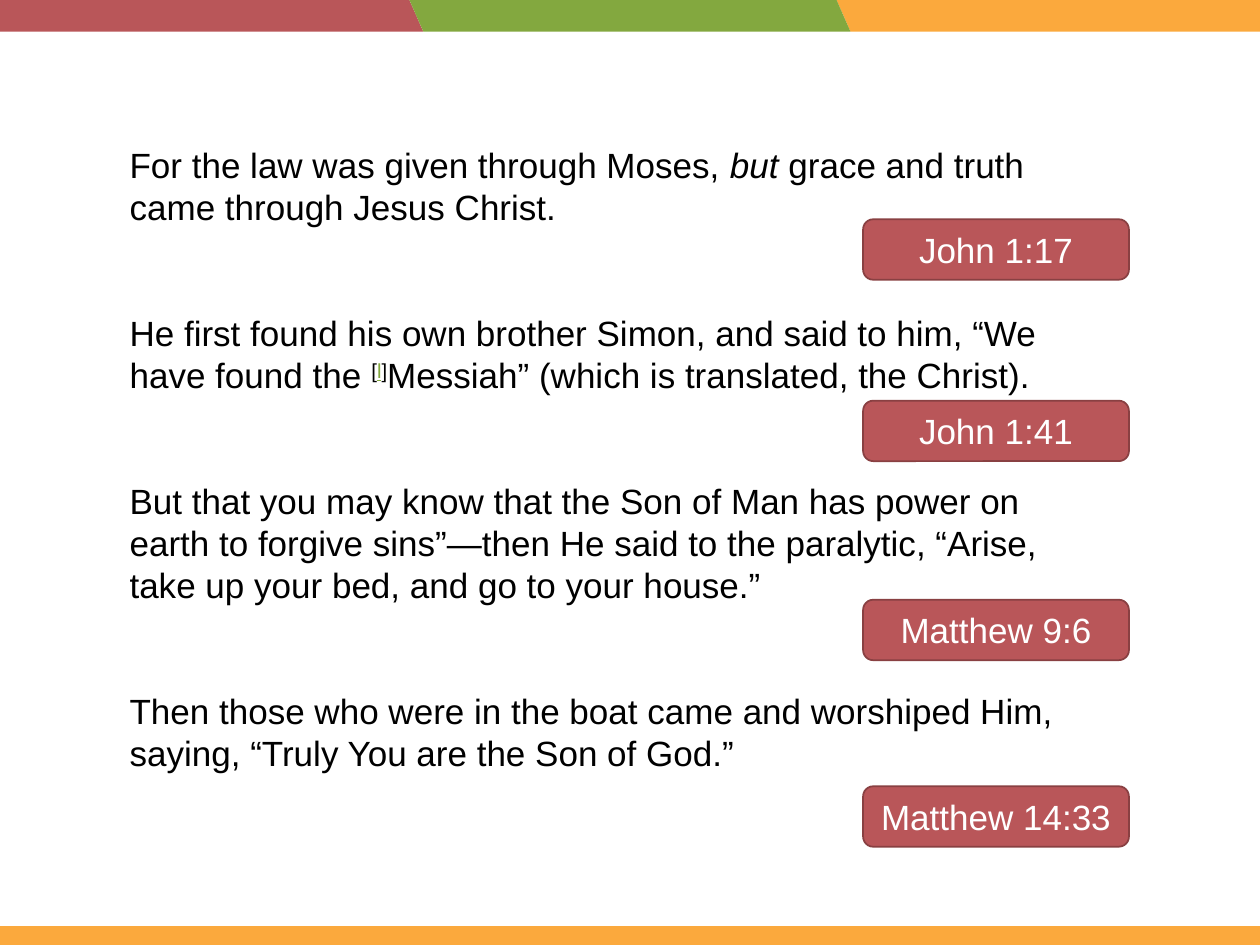
from pptx import Presentation
from pptx.dml.color import RGBColor
from pptx.enum.shapes import MSO_SHAPE as SHAPE
from pptx.enum.text import MSO_ANCHOR, MSO_AUTO_SIZE, PP_ALIGN
from pptx.util import Inches, Pt

COLORS = {"red": "B95659", "dark_red": "894042", "green": "83A83F",
          "orange": "FBA93D", "black": "000000", "white": "FFFFFF"}
BASE_FONT = {"name": "Arial", "size": Pt(20)}
SUPERSCRIPT = "30000"
LINE = 24  # line pitch in points

# Each verse is a list of (text, font values, colour, baseline)
VERSES = [
    [("For the law was given through Moses, ", {}, "black", None),
     ("but", {"italic": True}, "black", None),
     (" grace and truth came through Jesus Christ.", {}, "black", None)],
    [("He first found his own brother Simon, and said to him, “We have found the ",
      {}, "black", None),
     ("[", {}, "black", SUPERSCRIPT),
     ("l", {"underline": True}, "green", SUPERSCRIPT),
     ("]", {}, "black", SUPERSCRIPT),
     ("Messiah” (which is translated, the Christ).", {}, "black", None)],
    [("But that you may know that the Son of Man has power on earth to forgive "
      "sins”—then He said to the paralytic, “Arise, take up your bed, and go to "
      "your house.”", {}, "black", None)],
    [("Then those who were in the boat came and worshiped Him, saying, “Truly "
      "You are the Son of God.”", {}, "black", None)],
]
REFERENCES = [("John 1:17", 1.74), ("John 1:41", 3.18),
              ("Matthew 9:6", 4.76), ("Matthew 14:33", 6.24)]


def rgb(name):
    return RGBColor.from_string(COLORS[name])


def add_run(p, text, values, color, baseline=None):
    r = p.add_run()
    r.text = text
    for key, value in {**BASE_FONT, **values}.items():
        setattr(r.font, key, value)
    r.font.color.rgb = rgb(color)
    if baseline:
        r._r.get_or_add_rPr().set("baseline", baseline)


def add_filled(s, kind, box, fill, line=None):
    sp = s.shapes.add_shape(kind, *map(Inches, box))
    sp.shadow.inherit = False
    sp.fill.solid()
    sp.fill.fore_color.rgb = rgb(fill)
    if line:
        sp.line.color.rgb = rgb(line)
        sp.line.width = Pt(1)
    else:
        sp.line.fill.background()
    return sp


def add_top_band(s, left, top, width, height):
    """Three slanted strips, each overlapping the one before."""
    step = 3.39
    strip_width = width - 2 * step
    for i, color in ((2, "orange"), (0, "red"), (1, "green")):
        box = (left + i * step, top, strip_width, height)
        sp = add_filled(s, SHAPE.PARALLELOGRAM, box, color)
        sp.adjustments[0] = 0.44
        sp._element.spPr.xfrm.set("flipH", "1")


def add_verses(s, left, top, width, height):
    tf = s.shapes.add_textbox(*map(Inches, (left, top, width, height))).text_frame
    tf.word_wrap = True
    for i, verse in enumerate(VERSES):
        p = tf.add_paragraph() if i else tf.paragraphs[0]
        p.line_spacing = Pt(LINE)
        if i:
            p.space_before = Pt(2 * LINE)
        for part in verse:
            add_run(p, *part)


def add_reference(s, text, left, top, width, height):
    box = (left, top, width, height)
    sp = add_filled(s, SHAPE.ROUNDED_RECTANGLE, box, "red", "dark_red")
    tf = sp.text_frame
    for key, value in {"word_wrap": True, "vertical_anchor": MSO_ANCHOR.MIDDLE,
                       "auto_size": MSO_AUTO_SIZE.NONE}.items():
        setattr(tf, key, value)
    p = tf.paragraphs[0]
    p.alignment = PP_ALIGN.CENTER
    add_run(p, text, {}, "white")


def main():
    prs = Presentation()
    prs.slide_width, prs.slide_height = Inches(10), Inches(7.5)
    s = prs.slides.add_slide(prs.slide_layouts[6])

    # Coloured bands
    add_top_band(s, -0.14, 0, 10.28, 0.25)
    add_filled(s, SHAPE.RECTANGLE, (0, 7.35, 10, 0.15), "orange")

    # Verses and their references
    for text, top in REFERENCES:
        add_reference(s, text, 6.85, top, 2.11, 0.48)
    add_verses(s, 0.93, 1.09, 7.81, 5.15)

    prs.save("out.pptx")


if __name__ == "__main__":
    main()
